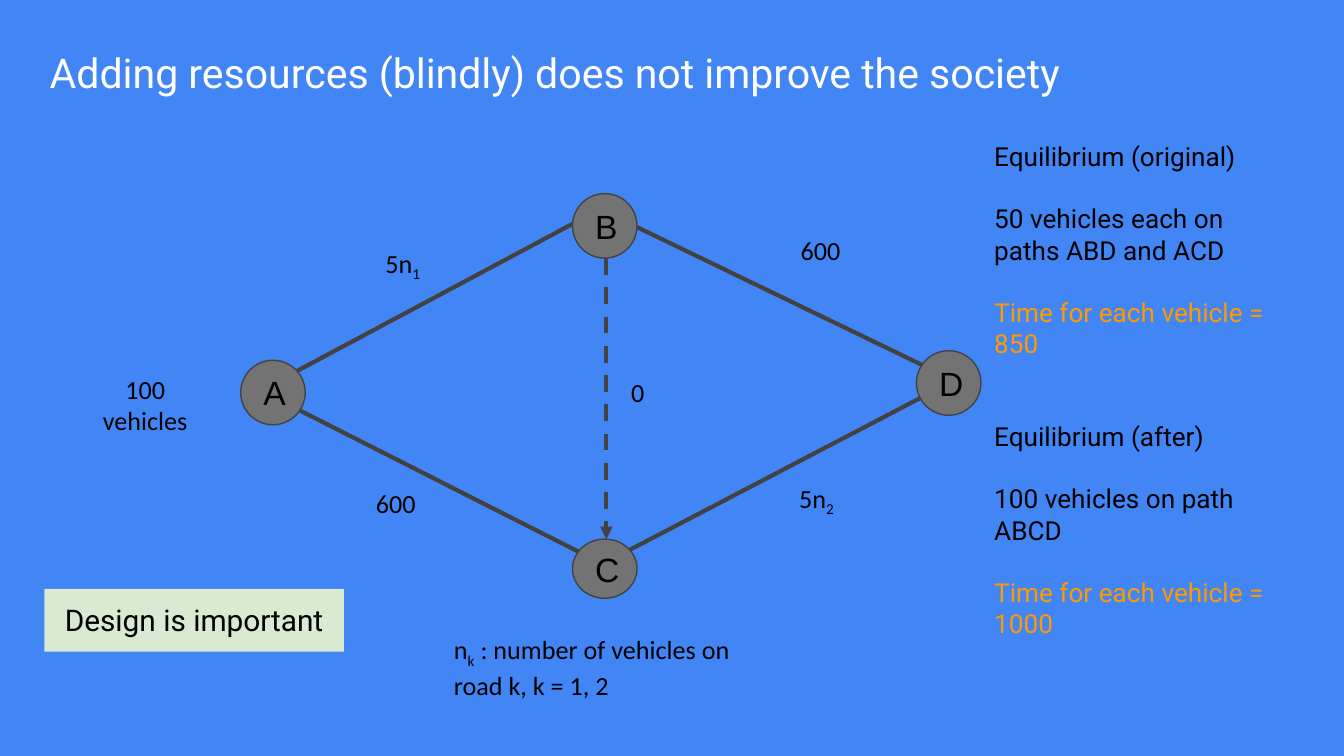
from dataclasses import dataclass
from typing import Any

from lxml import etree
from pptx import Presentation
from pptx.dml.color import RGBColor
from pptx.enum.dml import MSO_LINE
from pptx.enum.shapes import MSO_CONNECTOR, MSO_SHAPE
from pptx.enum.text import MSO_ANCHOR, MSO_AUTO_SIZE, PP_ALIGN
from pptx.oxml.ns import qn
from pptx.util import Cm, Pt

LEFT, CENTER = PP_ALIGN.LEFT, PP_ALIGN.CENTER
TOP, MIDDLE = MSO_ANCHOR.TOP, MSO_ANCHOR.MIDDLE
FIXED = MSO_AUTO_SIZE.NONE
DASH = MSO_LINE.DASH
STRAIGHT = MSO_CONNECTOR.STRAIGHT
DISC, RECT = MSO_SHAPE.FLOWCHART_CONNECTOR, MSO_SHAPE.RECTANGLE


@dataclass(frozen=True)
class Theme:
    back: str = "4285F4"
    ink: str = "000000"
    white: str = "FFFFFF"
    edge: str = "424242"
    node: str = "737373"
    warm: str = "FF9900"
    mint: str = "D9EAD3"
    head: int = 22
    letter: int = 18
    badge: int = 16
    body: int = 14
    rim: float = 0.75
    road: float = 2.25
    gap: float = 16.5


THEME = Theme()


@dataclass(frozen=True)
class Box:
    left: float
    top: float
    width: float
    height: float

    def place(self) -> tuple[Cm, Cm, Cm, Cm]:
        return Cm(self.left), Cm(self.top), Cm(self.width), Cm(self.height)


@dataclass(frozen=True)
class Piece:
    text: str
    sub: bool = False
    color: str = ""


@dataclass(frozen=True)
class Style:
    font: str = "Calibri"
    size: int = THEME.body
    color: str = THEME.ink
    align: Any = LEFT
    anchor: Any = TOP


@dataclass(frozen=True)
class Road:
    start: tuple[float, float]
    end: tuple[float, float]
    new: bool = False


@dataclass(frozen=True)
class Node:
    name: str
    box: Box


@dataclass(frozen=True)
class Label:
    box: Box
    line: tuple[Piece, ...]
    align: Any = CENTER


@dataclass(frozen=True)
class Panel:
    top: float
    head: str
    flow: str
    time: str


SIDE = 1.22
ROADS = (
    Road((5.0, 7.34), (11.33, 3.96)),
    Road((5.0, 7.42), (11.35, 10.64)),
    Road((11.35, 3.96), (18.03, 7.19)),
    Road((11.43, 10.64), (18.03, 7.19)),
    Road((11.46, 4.88), (11.46, 10.19), True),
)
NODES = (
    Node("B", Box(10.82, 3.66, SIDE, SIDE)),
    Node("C", Box(10.82, 10.19, SIDE, 1.12)),
    Node("A", Box(4.55, 6.81, SIDE, SIDE)),
    Node("D", Box(17.32, 6.63, SIDE, SIDE)),
)
LABELS = (
    Label(Box(1.4, 6.81, 2.69, 1.7), (Piece("100 vehicles"),)),
    Label(Box(6.53, 4.42, 2.16, 1.12), (Piece("5n"), Piece("1", True))),
    Label(Box(14.35, 8.86, 2.16, 1.12), (Piece("5n"), Piece("2", True))),
    Label(Box(14.1, 4.19, 2.82, 1.12), (Piece("600"),)),
    Label(Box(6.07, 8.97, 2.82, 1.12), (Piece("600"),)),
    Label(Box(11.68, 6.86, 0.66, 1.12), (Piece("0"),), LEFT),
    Label(
        Box(8.33, 11.73, 6.22, 1.7),
        (Piece("n"), Piece("k", True), Piece(" : number of vehicles on road k, k = 1, 2")),
        LEFT,
    ),
)
PANELS = (
    Panel(2.41, "Equilibrium (original)", "50 vehicles each on paths ABD and ACD",
          "Time for each vehicle = 850"),
    Panel(7.7, "Equilibrium (after)", "100 vehicles on path ABCD",
          "Time for each vehicle = 1000"),
)


def apply(target: Any, values: dict[str, Any]) -> None:
    for name, value in values.items():
        setattr(target, name, value)


def write(shape: Any, lines: list[tuple[Piece, ...]], style: Style) -> None:
    frame = shape.text_frame
    inset = Cm(0.25)
    apply(frame, {
        "word_wrap": True, "auto_size": FIXED, "vertical_anchor": style.anchor,
        "margin_left": inset, "margin_right": inset,
        "margin_top": inset, "margin_bottom": inset,
    })
    for index, line in enumerate(lines):
        para = frame.add_paragraph() if index else frame.paragraphs[0]
        apply(para, {"alignment": style.align,
                     "space_before": Pt(THEME.gap if index else 0)})
        for piece in line:
            run = para.add_run()
            run.text = piece.text
            apply(run.font, {"name": style.font, "size": Pt(style.size)})
            run.font.color.rgb = RGBColor.from_string(piece.color or style.color)
            if piece.sub:
                run.font._element.set("baseline", "-25000")


def draw_road(slide: Any, road: Road) -> None:
    ends = [Cm(value) for value in road.start + road.end]
    link = slide.shapes.add_connector(STRAIGHT, *ends)
    link.line.width = Pt(THEME.road)
    link.line.color.rgb = RGBColor.from_string(THEME.edge)
    if road.new:
        link.line.dash_style = DASH
        etree.SubElement(link.line._get_or_add_ln(), qn("a:tailEnd"), type="triangle")
    etree.SubElement(link._element.spPr, qn("a:effectLst"))


def draw_shape(slide: Any, kind: Any, box: Box, fill: str) -> Any:
    shape = slide.shapes.add_shape(kind, *box.place())
    shape.shadow.inherit = False
    shape.fill.solid()
    shape.fill.fore_color.rgb = RGBColor.from_string(fill)
    shape.line.fill.background()
    return shape


def draw_node(slide: Any, node: Node) -> None:
    disc = draw_shape(slide, DISC, node.box, THEME.node)
    disc.line.color.rgb = RGBColor.from_string(THEME.edge)
    disc.line.width = Pt(THEME.rim)
    style = Style("Arial", THEME.letter, align=CENTER, anchor=MIDDLE)
    write(disc, [(Piece(node.name),)], style)


def draw_label(slide: Any, label: Label) -> None:
    text = slide.shapes.add_textbox(*label.box.place())
    write(text, [label.line], Style(align=label.align))


def draw_panel(slide: Any, panel: Panel) -> None:
    text = slide.shapes.add_textbox(*Box(18.54, panel.top, 5.82, 4.7).place())
    lines = [(Piece(panel.head),), (Piece(panel.flow),),
             (Piece(panel.time, color=THEME.warm),)]
    write(text, lines, Style("Roboto"))


def draw_title(slide: Any) -> None:
    title = slide.shapes.title
    names = ("left", "top", "width", "height")
    apply(title, dict(zip(names, Box(0.69, 0.64, 23.29, 1.45).place())))
    text = "Adding resources (blindly) does not improve the society"
    write(title, [(Piece(text),)], Style("Roboto", THEME.head, THEME.white))


def main() -> None:
    deck = Presentation()
    apply(deck, {"slide_width": Cm(25.4), "slide_height": Cm(14.29)})
    slide = deck.slides.add_slide(deck.slide_layouts[5])
    slide.background.fill.solid()
    slide.background.fill.fore_color.rgb = RGBColor.from_string(THEME.back)
    draw_title(slide)
    for draw, items in ((draw_road, ROADS), (draw_node, NODES),
                        (draw_label, LABELS), (draw_panel, PANELS)):
        for item in items:
            draw(slide, item)
    badge = draw_shape(slide, RECT, Box(0.84, 11.13, 5.66, 1.19), THEME.mint)
    write(badge, [(Piece("Design is important"),)],
          Style("Roboto", THEME.badge, align=CENTER))
    deck.save("out.pptx")


if __name__ == "__main__":
    main()
